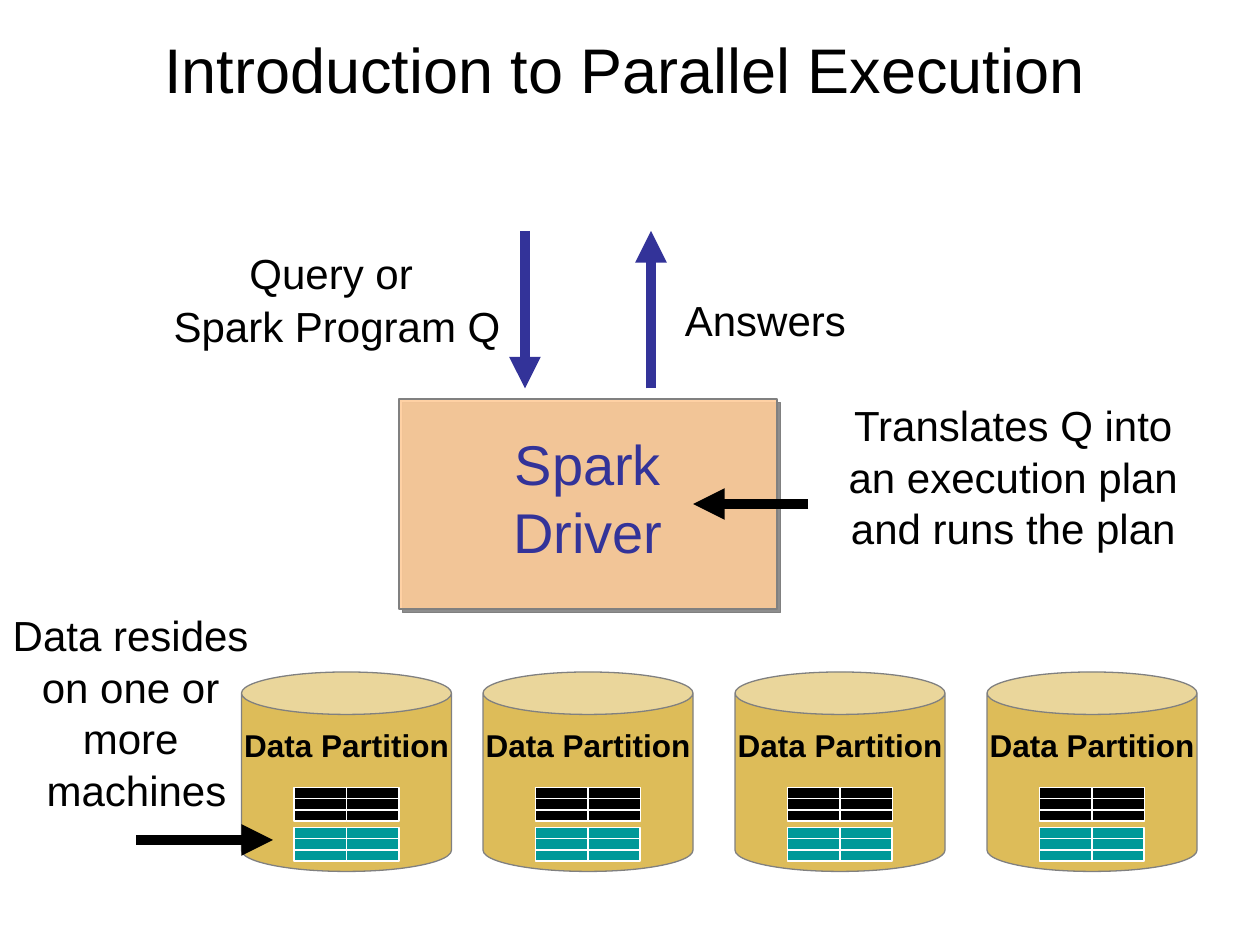
from lxml import etree
from pptx import Presentation
from pptx.dml.color import RGBColor
from pptx.enum.shapes import MSO_CONNECTOR, MSO_SHAPE
from pptx.enum.text import MSO_ANCHOR, PP_ALIGN
from pptx.oxml.ns import qn
from pptx.util import Inches, Pt

RECT, CAN = MSO_SHAPE.RECTANGLE, MSO_SHAPE.CAN
LINE = MSO_CONNECTOR.STRAIGHT
TOP, MIDDLE = MSO_ANCHOR.TOP, MSO_ANCHOR.MIDDLE
CENTER = PP_ALIGN.CENTER
COLORS = {"black": "000000", "white": "FFFFFF", "navy": "333399", "gold": "CC9900",
          "peach": "FFCC99", "gray": "808080", "teal": "009999"}


def color(name):
    return RGBColor.from_string(COLORS[name])


def grid(*cells):
    return [Inches(cell / 12) for cell in cells]


def write(frame, text, size=24, ink="black", bold=False, pitch=0.9, gap=0.15):
    for i, line in enumerate(text.split("\n")):
        para = frame.paragraphs[0] if i == 0 else frame.add_paragraph()
        para.alignment = CENTER
        para.line_spacing = pitch
        para.space_after = Pt(size * gap)
        run = para.add_run()
        run.text = line
        run.font.name = "Arial"
        run.font.size = Pt(size)
        run.font.bold = bold
        run.font.color.rgb = color(ink)


class Board:
    """Draws on one slide, on a grid of twelve cells to the inch."""

    def __init__(self, deck):
        self.shapes = deck.slides.add_slide(deck.slide_layouts[6]).shapes

    def text(self, box, text, wrap=False, anchor=TOP, **style):
        frame = self.shapes.add_textbox(*grid(*box)).text_frame
        frame.word_wrap = wrap
        frame.vertical_anchor = anchor
        write(frame, text, **style)

    def shape(self, kind, box, fill, edge="gray", width=0.75, alpha=None):
        shape = self.shapes.add_shape(kind, *grid(*box))
        shape.shadow.inherit = False
        shape.fill.solid()
        shape.fill.fore_color.rgb = color(fill)
        shape.line.color.rgb = color(edge)
        shape.line.width = Pt(width)
        if alpha:
            tone = shape._element.spPr.find(qn("a:solidFill"))[0]
            etree.SubElement(tone, qn("a:alpha"), val=str(alpha * 1000))
        return shape

    def line(self, start, end, ink, width, arrow=False):
        line = self.shapes.add_connector(LINE, *grid(*start, *end))
        line.line.color.rgb = color(ink)
        line.line.width = Pt(width)
        if arrow:
            etree.SubElement(line.line._get_or_add_ln(), qn("a:tailEnd"), type="triangle")
        etree.SubElement(line._element.spPr, qn("a:effectLst"))

    def arrow(self, start, end, ink="black"):
        self.line(start, end, ink, 6, arrow=True)

    def driver(self, box):
        shape = self.shape(RECT, box, "peach", alpha=89)
        effects = shape._element.spPr.find(qn("a:effectLst"))
        shade = etree.SubElement(effects, qn("a:outerShdw"), dist=str(Pt(2.8)),
                                 dir="2700000", algn="ctr", rotWithShape="0")
        etree.SubElement(shade, qn("a:srgbClr"), val=COLORS["gray"])

    def rows(self, left, top, fill, width):
        wide, high = 5, 3.2
        for col in range(2):
            self.shape(RECT, (left + col * wide, top, wide, high), fill, "white", width)
        for row in (1, 2):
            y = top + row * high / 3
            self.line((left, y), (left + 2 * wide, y), "white", width)

    def store(self, left):
        can = self.shape(CAN, (left, 64, 20, 19), "gold", alpha=65)
        can.adjustments[0] = 0.213
        self.text((left - 1, 69, 22, 4.5), "Data Partition", size=18, bold=True)
        self.rows(left + 5, 75, "black", 0.75)
        self.rows(left + 5, 78.8, "teal", 1)


def main():
    deck = Presentation()
    deck.slide_width, deck.slide_height = Inches(10), Inches(7.5)
    board = Board(deck)
    board.text((3, 1, 113, 11), "Introduction to Parallel Execution", wrap=True,
               anchor=MIDDLE, size=36, pitch=1, gap=0)
    board.arrow((50, 22), (50, 37), "navy")
    board.arrow((62, 37), (62, 22), "navy")
    board.text((15.2, 23, 33.8, 11), "Query or \nSpark Program Q ", pitch=1, gap=0.06)
    board.text((63.8, 28, 18.2, 5.6), "Answers")
    board.driver((38, 38, 36, 20))
    board.text((47.5, 41, 17, 13.5), "Spark\nDriver", size=32, ink="navy")
    board.text((79.5, 38, 34, 15.4), "Translates Q into\nan execution plan\nand runs the plan")
    board.arrow((77, 48), (66, 48))
    for left in (23, 46, 70, 94):
        board.store(left)
    board.text((-5, 58, 36, 20), "Data resides \non one or \nmore \nmachines", wrap=True)
    board.arrow((13, 80), (26, 80))
    deck.save("out.pptx")


if __name__ == "__main__":
    main()
